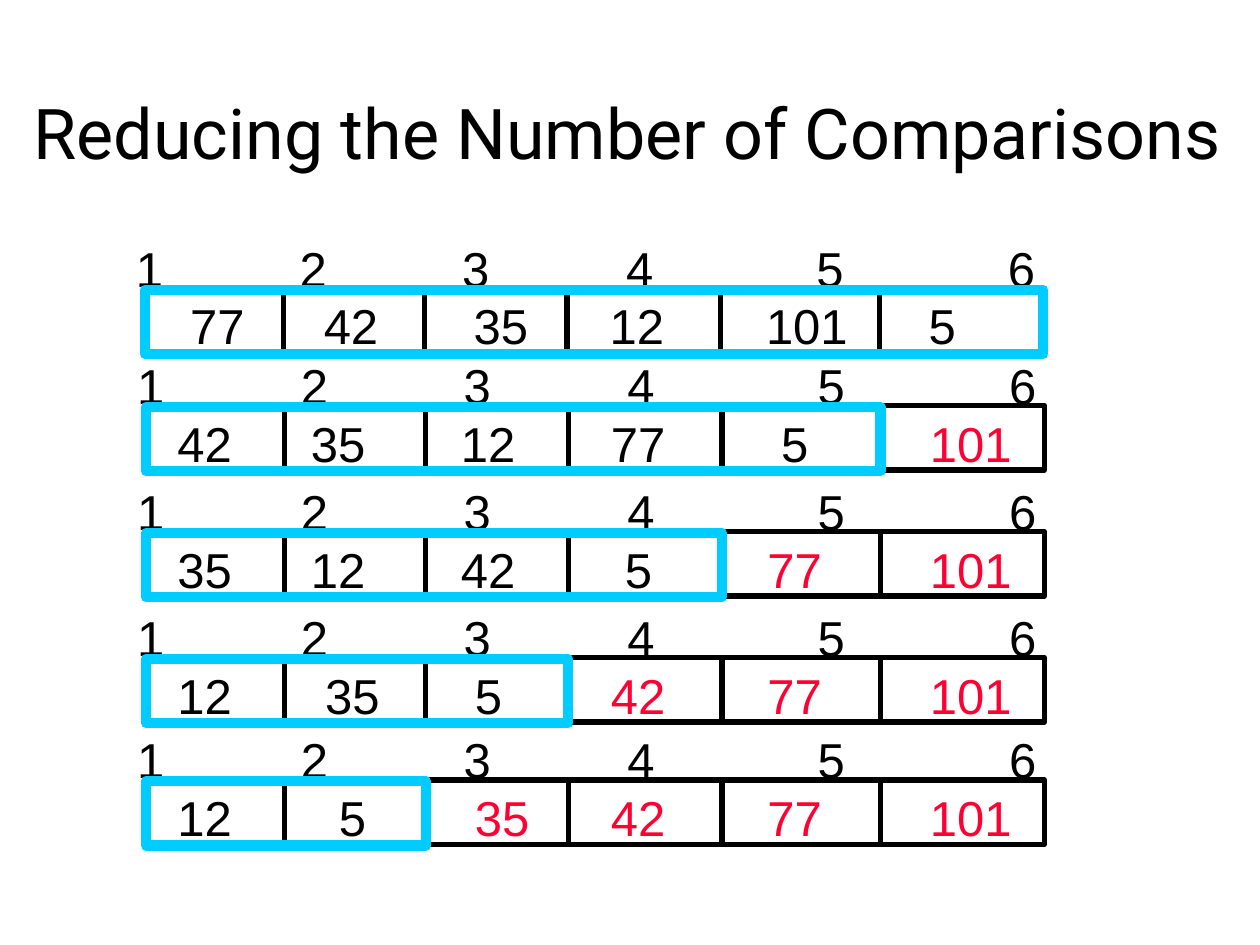
from dataclasses import dataclass

from lxml.etree import SubElement
from pptx import Presentation
from pptx.dml.color import RGBColor
from pptx.enum.shapes import MSO_CONNECTOR, MSO_SHAPE
from pptx.enum.text import MSO_ANCHOR, PP_ALIGN
from pptx.oxml.ns import qn
from pptx.util import Inches, Pt

COLORS = {"ink": "000000", "sorted": "FF0033", "active": "00CCFF"}

ROW_WIDTH = 7.13
ROW_HEIGHT = 0.51
DIVIDERS = (1.10, 2.22, 3.35, 4.57, 5.83)
EDGES = (*DIVIDERS, ROW_WIDTH)
VALUE_LEFTS = (0.15, 1.21, 2.40, 3.59, 4.72, 6.01)
INDEX_TABS = (1.30, 2.59, 3.89, 5.40, 6.92)
TEXT_HEIGHT = 0.57
DIGIT_WIDTH = 0.22
INDENT_WIDTH = 0.11


@dataclass(frozen=True)
class Pass:
    """One pass of the sort; cells from active_count on are already sorted."""
    left: float
    top: float
    values: tuple[int, ...]
    indents: tuple[int, ...]
    active_count: int


PASSES = (
    Pass(1.15, 2.29, (77, 42, 35, 12, 101, 5), (1, 1, 1, 0, 1, 1), 6),
    Pass(1.16, 3.22, (42, 35, 12, 77, 5, 101), (0, 0, 0, 0, 2, 1), 5),
    Pass(1.16, 4.22, (35, 12, 42, 5, 77, 101), (0, 0, 0, 1, 1, 1), 4),
    Pass(1.16, 5.22, (12, 35, 5, 42, 77, 101), (0, 1, 1, 0, 1, 1), 3),
    Pass(1.16, 6.19, (12, 5, 35, 42, 77, 101), (0, 2, 1, 0, 1, 1), 2),
)


def add_text(shapes, text: str, left: float, top: float, width: float,
             height: float = TEXT_HEIGHT, color: str = "ink",
             font_name: str = "Arial", size: int = 28, **frame_format):
    """Add a one-line text box and return its paragraph."""
    box = shapes.add_textbox(Inches(left), Inches(top), Inches(width), Inches(height))
    frame_values = {"word_wrap": False, "margin_left": Inches(0.1),
                    "margin_right": Inches(0.1), **frame_format}
    for name, value in frame_values.items():
        setattr(box.text_frame, name, value)
    paragraph = box.text_frame.paragraphs[0]
    paragraph.alignment = PP_ALIGN.LEFT
    run = paragraph.add_run()
    run.text = text
    for name, value in {"name": font_name, "size": Pt(size)}.items():
        setattr(run.font, name, value)
    run.font.color.rgb = RGBColor.from_string(COLORS[color])
    return paragraph


def add_frame(shapes, left: float, top: float, width: float,
              color: str, weight: int) -> None:
    frame = shapes.add_shape(MSO_SHAPE.RECTANGLE, Inches(left), Inches(top),
                             Inches(width), Inches(ROW_HEIGHT))
    frame.shadow.inherit = False
    frame.fill.background()
    frame.line.color.rgb = RGBColor.from_string(COLORS[color])
    frame.line.width = Pt(weight)


def add_divider(shapes, x: float, top: float) -> None:
    divider = shapes.add_connector(MSO_CONNECTOR.STRAIGHT, Inches(x), Inches(top),
                                   Inches(x), Inches(top + ROW_HEIGHT))
    divider.line.color.rgb = RGBColor.from_string(COLORS["ink"])
    divider.line.width = Pt(3)
    SubElement(divider._element.spPr, qn("a:effectLst"))


def add_indexes(shapes, sort_pass: Pass) -> None:
    """Add the numbers 1 to 6 above the cells, placed by tab stops."""
    text = "\t".join(str(number) for number in range(1, len(EDGES) + 1))
    paragraph = add_text(shapes, text, sort_pass.left - 0.17, sort_pass.top - 0.45,
                         7.32, word_wrap=True, margin_right=0)
    tab_list = SubElement(paragraph._p.get_or_add_pPr(), qn("a:tabLst"))
    for position in INDEX_TABS:
        SubElement(tab_list, qn("a:tab"), pos=str(Inches(position)), algn="l")


def add_pass(slide, sort_pass: Pass) -> None:
    shapes = slide.shapes.add_group_shape().shapes
    left, top = sort_pass.left, sort_pass.top
    add_frame(shapes, left, top, ROW_WIDTH, "ink", 3)
    for offset in DIVIDERS:
        add_divider(shapes, left + offset, top)
    cells = zip(sort_pass.values, sort_pass.indents, VALUE_LEFTS)
    for column, (value, indent, offset) in enumerate(cells):
        indent_width = indent * INDENT_WIDTH
        add_text(shapes, str(value), left + offset, top + 0.01,
                 0.2 + len(str(value)) * DIGIT_WIDTH + indent_width,
                 color="ink" if column < sort_pass.active_count else "sorted",
                 margin_left=Inches(0.1 + indent_width))
    add_indexes(shapes, sort_pass)
    add_frame(shapes, left, top + 0.01, EDGES[sort_pass.active_count - 1], "active", 6)


def main() -> None:
    presentation = Presentation()
    presentation.slide_width = Inches(10)
    presentation.slide_height = Inches(7.5)
    slide = presentation.slides.add_slide(presentation.slide_layouts[6])
    add_text(slide.shapes, "Reducing the Number of Comparisons", 0.17, 0.5, 9.83, 1.08,
             font_name="Roboto", size=40, word_wrap=True,
             vertical_anchor=MSO_ANCHOR.MIDDLE)
    for sort_pass in PASSES:
        add_pass(slide, sort_pass)
    presentation.save("out.pptx")


if __name__ == "__main__":
    main()
